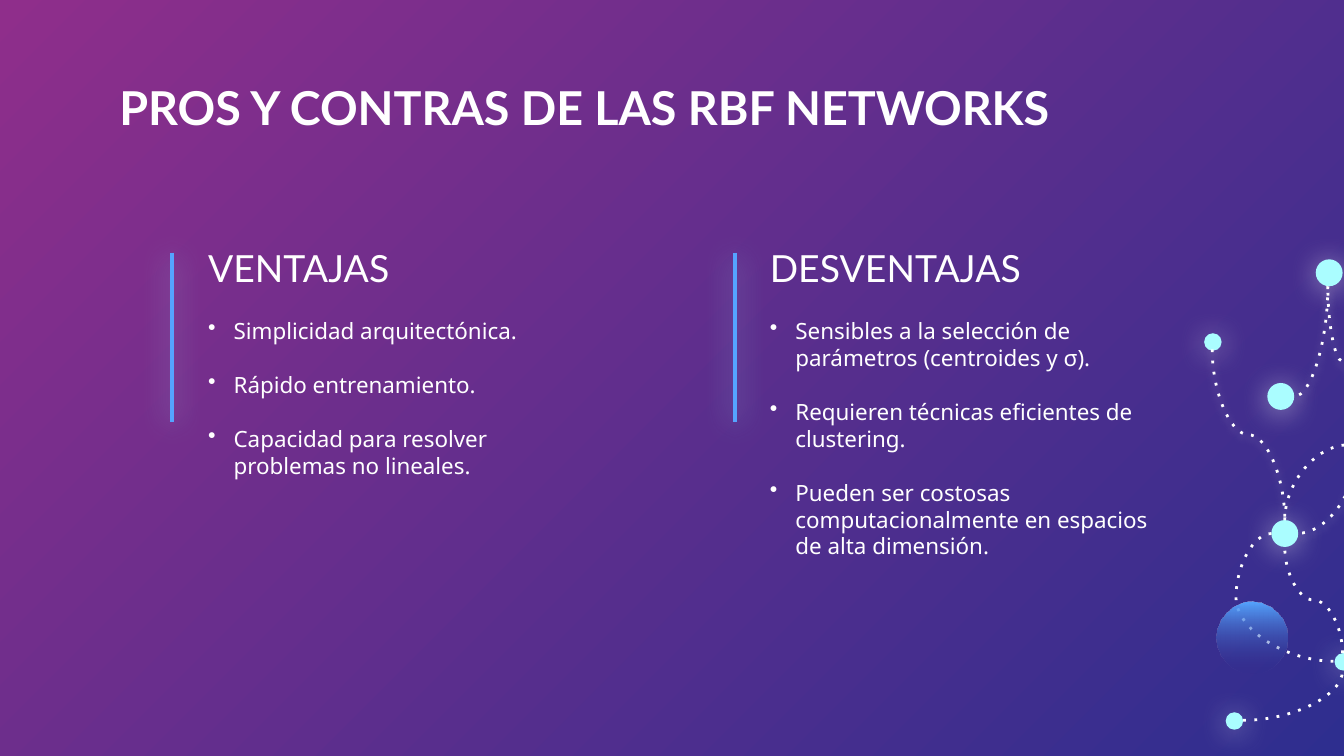
from dataclasses import dataclass
from typing import Optional

from lxml import etree
from pptx import Presentation
from pptx.dml.color import RGBColor
from pptx.enum.shapes import MSO_CONNECTOR, MSO_SHAPE
from pptx.enum.text import MSO_ANCHOR
from pptx.oxml.ns import qn
from pptx.util import Inches, Pt

CURVE = MSO_CONNECTOR.CURVE
STRAIGHT = MSO_CONNECTOR.STRAIGHT
OVAL = MSO_SHAPE.OVAL
TOP = MSO_ANCHOR.TOP
BOTTOM = MSO_ANCHOR.BOTTOM


@dataclass(frozen=True)
class Theme:
    plum: str = "8F2E8B"
    navy: str = "2E2E8F"
    white: str = "FFFFFF"
    aqua: str = "AAFDFF"
    blue: str = "55A4FF"
    head: str = "Lato"
    body: str = "Noto Sans"
    title: float = 25
    label: float = 20
    item: float = 12
    gap: float = 14.5
    wide: float = 15.8
    tight: float = 4.5


@dataclass(frozen=True)
class Dot:
    x: float
    y: float
    size: float


@dataclass(frozen=True)
class Trail:
    start: tuple[float, float]
    end: tuple[float, float]
    upright: bool = True
    bends: int = 2
    adjust: float = 0.5
    glow: bool = False


@dataclass(frozen=True)
class Column:
    bar: float
    x: float
    label: str
    items: tuple[str, ...]


THEME = Theme()
BIG, SMALL = 0.2, 0.13

DOTS = (
    Dot(9.43, 2.85, BIG),
    Dot(9.46, 3.87, BIG),
    Dot(8.96, 2.48, SMALL),
    Dot(9.79, 1.93, BIG),
    Dot(9.93, 4.86, SMALL),
    Dot(9.12, 5.3, SMALL),
)

TRAILS = (
    Trail((9.56, 3.87), (10.03, 3.31)),
    Trail((9.02, 2.6), (9.56, 3.87), bends=3, glow=True),
    Trail((10.09, 3.24), (9.88, 2.13), bends=3, glow=True),
    Trail((10.09, 3.37), (9.65, 3.97), glow=True),
    Trail((9.88, 2.13), (9.63, 2.95), glow=True),
    Trail((9.46, 3.97), (9.93, 4.92), upright=False, bends=3, adjust=-0.56),
    Trail((9.25, 5.36), (9.99, 4.99), upright=False),
    Trail((9.99, 4.86), (9.56, 4.07), bends=3),
)

COLUMNS = (
    Column(1.28, 1.45, "VENTAJAS", (
        "Simplicidad arquitectónica.",
        "Rápido entrenamiento.",
        "Capacidad para resolver problemas no lineales.",
    )),
    Column(5.47, 5.63, "DESVENTAJAS", (
        "Sensibles a la selección de parámetros (centroides y σ).",
        "Requieren técnicas eficientes de clustering.",
        "Pueden ser costosas computacionalmente en espacios de alta dimensión.",
    )),
)


def rgb(code: str) -> RGBColor:
    return RGBColor.from_string(code)


def add(parent, tag: str, **attrs):
    return etree.SubElement(parent, qn(tag), {k: str(v) for k, v in attrs.items()})


def set_glow(shape, code: str = "", blur: float = 0) -> None:
    effects = add(shape._element.spPr, "a:effectLst")
    if code:
        shade = add(effects, "a:outerShdw", blurRad=Pt(blur), dist=Pt(1.5),
                    dir=90 * 60000, algn="bl", rotWithShape=0)
        add(add(shade, "a:srgbClr", val=code), "a:alpha", val=50000)


def set_blend(fill, codes: tuple[str, str], angle: float) -> None:
    fill.gradient()
    fill.gradient_angle = angle
    for place, (stop, code) in enumerate(zip(fill.gradient_stops, codes)):
        stop.position = place
        stop.color.rgb = rgb(code)


def add_oval(slide, x: float, y: float, size: float):
    oval = slide.shapes.add_shape(OVAL, Inches(x), Inches(y), Inches(size), Inches(size))
    oval.line.fill.background()
    return oval


def add_dot(slide, dot: Dot) -> None:
    oval = add_oval(slide, dot.x, dot.y, dot.size)
    oval.fill.solid()
    oval.fill.fore_color.rgb = rgb(THEME.aqua)
    set_glow(oval, THEME.white, THEME.wide)


def add_globe(slide) -> None:
    globe = add_oval(slide, 9.05, 4.48, 0.53)
    set_blend(globe.fill, (THEME.blue, THEME.navy), 270)
    last = list(globe._element.spPr.iter(qn("a:srgbClr")))[-1]
    add(last, "a:alpha", val=0)
    set_glow(globe)


def add_trail(slide, trail: Trail) -> None:
    (x1, y1), (x2, y2) = trail.start, trail.end
    right, down = x2 > x1, y2 > y1
    wide, high = abs(x2 - x1), abs(y2 - y1)
    if trail.upright:
        wide, high = high, wide
        turn, flip = (270 if right else 90), right == down
    else:
        turn, flip = (0 if down else 180), right != down
    left, top = (x1 + x2 - wide) / 2, (y1 + y2 - high) / 2
    line = slide.shapes.add_connector(
        CURVE, Inches(left), Inches(top), Inches(left + wide), Inches(top + high))
    line.line.color.rgb = rgb(THEME.white)
    line.line.width = Pt(1.5)
    props = line._element.spPr
    frame = props.find(qn("a:xfrm"))
    frame.set("rot", str(turn * 60000))
    if flip:
        frame.set("flipH", "1")
    shape = props.find(qn("a:prstGeom"))
    shape.set("prst", f"curvedConnector{trail.bends}")
    if trail.bends == 3:
        add(shape.find(qn("a:avLst")), "a:gd", name="adj1",
            fmla=f"val {round(trail.adjust * 100000)}")
    add(props.find(qn("a:ln")), "a:prstDash", val="dot")
    set_glow(line, THEME.white if trail.glow else "", THEME.tight)


def add_text(slide, box: tuple[float, float, float, float], lines: tuple[str, ...],
             face: str, size: float, bold: Optional[bool] = None, anchor=TOP):
    frame = slide.shapes.add_textbox(*map(Inches, box)).text_frame
    frame.word_wrap = True
    frame.vertical_anchor = anchor
    frame.margin_left = frame.margin_right = Inches(0.1)
    frame.margin_top = frame.margin_bottom = Inches(0.1)
    frame.text = "\n".join(lines)
    for para in frame.paragraphs:
        para.font.name = face
        para.font.size = Pt(size)
        para.font.bold = bold
        para.font.color.rgb = rgb(THEME.white)
    return frame


def add_column(slide, col: Column) -> None:
    add_text(slide, (col.x, 1.85, 3.07, 0.41), (col.label,),
             THEME.head, THEME.label, anchor=BOTTOM)
    frame = add_text(slide, (col.x, 2.26, 3.07, 1.04), col.items, THEME.body, THEME.item)
    for para in frame.paragraphs:
        para.space_after = Pt(THEME.gap)
        props = para._p.get_or_add_pPr()
        props.set("marL", str(Inches(0.19)))
        props.set("indent", str(-Inches(0.19)))
        tint = etree.Element(qn("a:buClr"))
        add(tint, "a:srgbClr", val=THEME.white)
        mark = etree.Element(qn("a:buChar"), char="•")
        rest = props.find(qn("a:defRPr"))
        for node in (tint, mark):
            rest.addprevious(node)
    x = Inches(col.bar)
    bar = slide.shapes.add_connector(STRAIGHT, x, Inches(1.88), x, Inches(3.14))
    bar.line.color.rgb = rgb(THEME.blue)
    bar.line.width = Pt(2.25)
    set_glow(bar, THEME.aqua, THEME.wide)


def main() -> None:
    deck = Presentation()
    deck.slide_width = Inches(10)
    deck.slide_height = deck.slide_width * 9 // 16
    slide = deck.slides.add_slide(deck.slide_layouts[6])
    set_blend(slide.background.fill, (THEME.plum, THEME.navy), 315)
    for dot in DOTS:
        add_dot(slide, dot)
    for trail in TRAILS:
        add_trail(slide, trail)
    add_globe(slide)
    add_text(slide, (0.79, 0.49, 8.43, 0.63), ("PROS Y CONTRAS DE LAS RBF NETWORKS",),
             THEME.head, THEME.title, bold=True)
    for col in COLUMNS:
        add_column(slide, col)
    deck.save("out.pptx")


if __name__ == "__main__":
    main()
